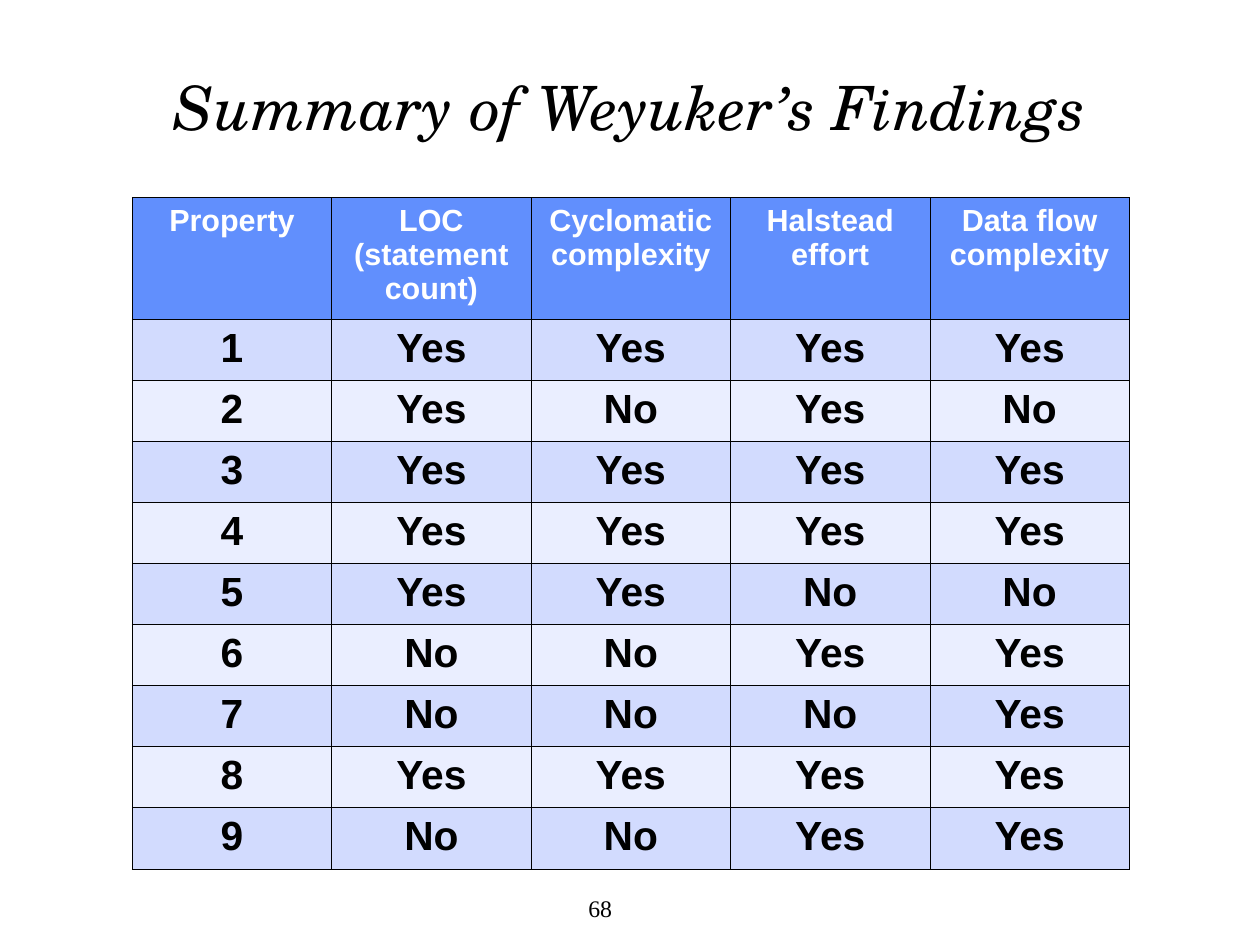
import pptx
import pptx.dml.color
import pptx.enum.text
import pptx.oxml
import pptx.oxml.ns
import pptx.util
from pptx.util import Pt

BLACK, WHITE = "000000", "FFFFFF"
HEADER_FILL = "618FFD"
BAND_FILLS = ["D2DBFE", "EAEEFF"]
BORDER_WIDTH = Pt(0.45)

TITLE_FONT = {"name": "TeX Gyre Schola", "size": Pt(36), "italic": True}
HEADER_FONT = {"name": "Arial", "size": Pt(18), "bold": True}
BODY_FONT = {"name": "Arial", "size": Pt(24), "bold": True}
PAGE_FONT = {"name": "Times New Roman", "size": Pt(14)}

HEADINGS = ["Property", "LOC (statement count)", "Cyclomatic complexity",
            "Halstead effort", "Data flow complexity"]
FINDINGS = [
    ["Yes", "Yes", "Yes", "Yes"],
    ["Yes", "No", "Yes", "No"],
    ["Yes", "Yes", "Yes", "Yes"],
    ["Yes", "Yes", "Yes", "Yes"],
    ["Yes", "Yes", "No", "No"],
    ["No", "No", "Yes", "Yes"],
    ["No", "No", "No", "Yes"],
    ["Yes", "Yes", "Yes", "Yes"],
    ["No", "No", "Yes", "Yes"],
]


def rgb(value):
    return pptx.dml.color.RGBColor.from_string(value)


def set_attributes(target, values):
    for key, value in values.items():
        setattr(target, key, value)


def write_centred(frame, text, font, color=BLACK):
    paragraph = frame.paragraphs[0]
    paragraph.alignment = pptx.enum.text.PP_ALIGN.CENTER
    run = paragraph.add_run()
    run.text = text
    set_attributes(run.font, font)
    run.font.color.rgb = rgb(color)
    return paragraph


def add_borders(cell):
    """Draw all four cell borders; they must precede the cell fill."""
    properties = cell._tc.get_or_add_tcPr()
    for position, side in enumerate(["lnL", "lnR", "lnT", "lnB"]):
        border = pptx.oxml.parse_xml(
            f'<a:{side} {pptx.oxml.ns.nsdecls("a")} w="{BORDER_WIDTH}">'
            f'<a:solidFill><a:srgbClr val="{BLACK}"/></a:solidFill></a:{side}>')
        properties.insert(position, border)


def fill_row(row, texts, fill, font, color=BLACK):
    for cell, text in zip(row.cells, texts):
        write_centred(cell.text_frame, text, font, color)
        cell.fill.solid()
        cell.fill.fore_color.rgb = rgb(fill)
        add_borders(cell)


def add_title(slide, text):
    title = slide.shapes.title
    set_attributes(title, {"left": Pt(35.3), "top": Pt(14.4),
                           "width": Pt(671.8), "height": Pt(102.2)})
    title.text_frame.vertical_anchor = pptx.enum.text.MSO_ANCHOR.MIDDLE
    write_centred(title.text_frame, text, TITLE_FONT).line_spacing = 0.9


def add_findings_table(slide):
    table = slide.shapes.add_table(
        len(FINDINGS) + 1, len(HEADINGS),
        Pt(78), Pt(116.4), Pt(588), Pt(396)).table
    table.horz_banding = False
    header, *body = table.rows
    header.height = Pt(72)
    fill_row(header, HEADINGS, HEADER_FILL, HEADER_FONT, WHITE)
    for index, (row, answers) in enumerate(zip(body, FINDINGS)):
        row.height = Pt(36)
        fill_row(row, [str(index + 1), *answers], BAND_FILLS[index % 2], BODY_FONT)


def add_page_number(slide, number):
    frame = slide.shapes.add_textbox(
        Pt(275.8), Pt(514.8), Pt(156.2), Pt(41.8)).text_frame
    set_attributes(frame, {"word_wrap": False,
                           "vertical_anchor": pptx.enum.text.MSO_ANCHOR.MIDDLE})
    write_centred(frame, number, PAGE_FONT)


def main():
    deck = pptx.Presentation()
    set_attributes(deck, {"slide_width": Pt(743), "slide_height": Pt(557.3)})
    slide = deck.slides.add_slide(deck.slide_layouts.get_by_name("Title Only"))
    add_title(slide, "Summary of Weyuker’s Findings")
    add_findings_table(slide)
    add_page_number(slide, "68")
    deck.save("out.pptx")


if __name__ == "__main__":
    main()
